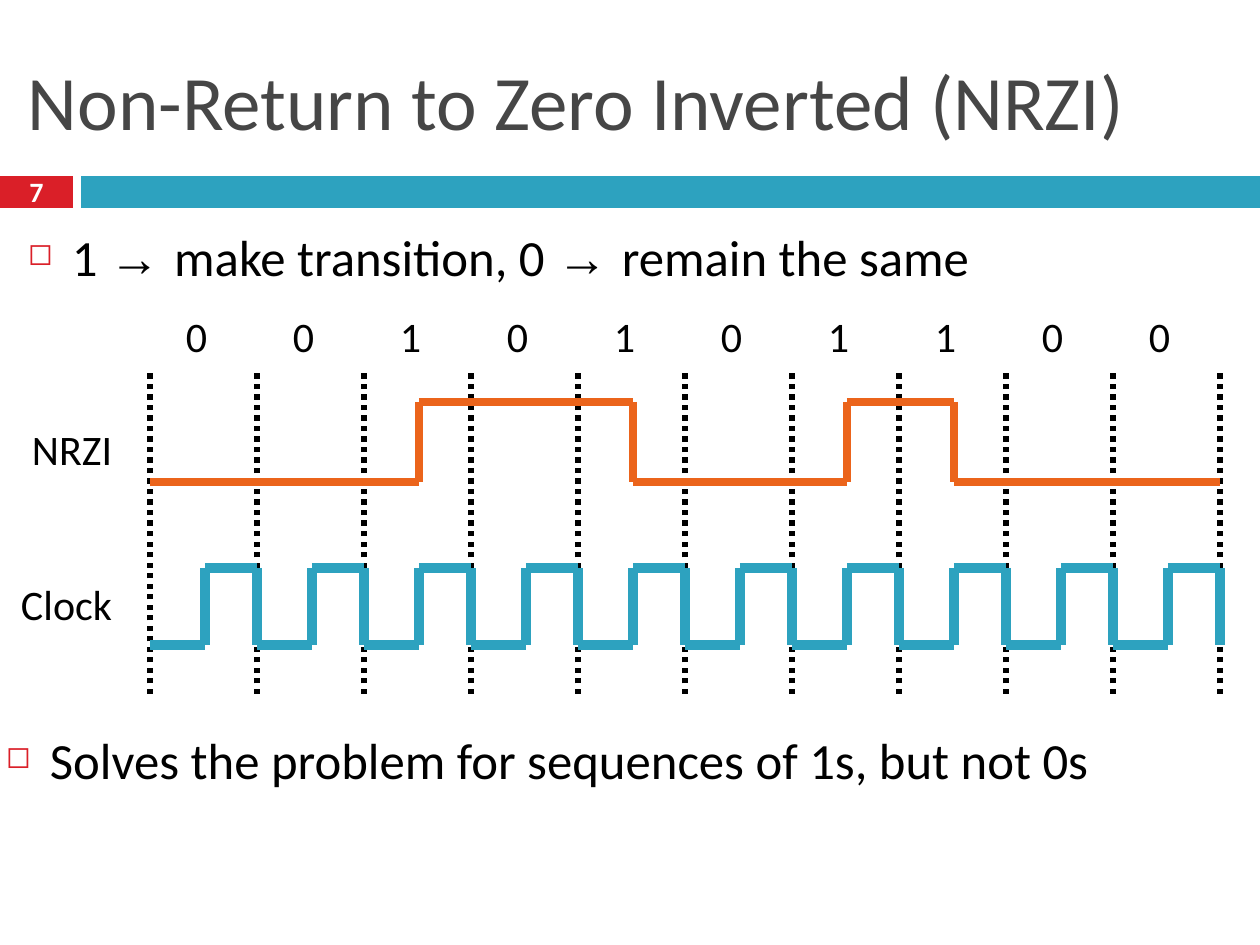
from itertools import pairwise

from lxml.etree import SubElement
from pptx import Presentation
from pptx.dml.color import RGBColor
from pptx.enum.dml import MSO_LINE
from pptx.enum.shapes import MSO_CONNECTOR, MSO_SHAPE
from pptx.enum.text import MSO_ANCHOR, MSO_AUTO_SIZE, PP_ALIGN
from pptx.oxml.ns import qn
from pptx.util import Pt

EMU_PER_PX = 914400 / 126
COLORS = {"text": "000000", "title": "464646", "white": "FFFFFF",
          "red": "DA1F28", "teal": "2DA2BF", "orange": "EB641B"}

BITS = "0010101100"
LEFT, BIT_WIDTH, HALF_BIT = 150, 107, 55
GRID_TOP, GRID_BOTTOM = 369, 694
NRZI_HIGH, NRZI_LOW = 402, 482
CLOCK_HIGH, CLOCK_LOW = 568, 645


def px(length):
    return round(length * EMU_PER_PX)


def color(name):
    return RGBColor.from_string(COLORS[name])


def write(paragraph, text, size=24, ink="text", bold=False, font="Calibri"):
    run = paragraph.add_run()
    run.text = text
    run.font.name = font
    run.font.size = Pt(size)
    run.font.bold = bold
    run.font.color.rgb = color(ink)


class SlideBuilder:
    def __init__(self, slide):
        self.shapes = slide.shapes

    def bar(self, x, y, width, height, fill):
        bar = self.shapes.add_shape(MSO_SHAPE.RECTANGLE, px(x), px(y), px(width), px(height))
        bar.shadow.inherit = False
        bar.fill.solid()
        bar.fill.fore_color.rgb = color(fill)
        bar.line.fill.background()

    def frame(self, x, y, width, height, wrap=True, anchor=MSO_ANCHOR.TOP):
        frame = self.shapes.add_textbox(px(x), px(y), px(width), px(height)).text_frame
        frame.word_wrap = wrap
        frame.vertical_anchor = anchor
        frame.margin_left = frame.margin_right = px(6)
        frame.margin_top = frame.margin_bottom = px(6)
        return frame

    def label(self, text, x, y, width, height=60):
        frame = self.frame(x, y, width, height, wrap=False)
        frame.auto_size = MSO_AUTO_SIZE.SHAPE_TO_FIT_TEXT
        write(frame.paragraphs[0], text)

    def bullet(self, parts, x, y, width, height=84):
        paragraph = self.frame(x, y, width, height).paragraphs[0]
        paragraph.space_before = Pt(7)
        properties = paragraph._p.get_or_add_pPr()
        properties.set("marL", str(px(44)))
        properties.set("indent", str(px(-44)))
        bullet_color = SubElement(properties, qn("a:buClr"))
        SubElement(bullet_color, qn("a:srgbClr"), val=COLORS["red"])
        SubElement(properties, qn("a:buSzPct"), val="60000")
        SubElement(properties, qn("a:buChar"), char="◻")
        for text in parts:
            write(paragraph, text, size=29, font="Arial" if "→" in text else "Calibri")

    def line(self, start, end, ink, weight, dash=None):
        line = self.shapes.add_connector(MSO_CONNECTOR.STRAIGHT, *map(px, (*start, *end)))
        line.line.color.rgb = color(ink)
        line.line.width = Pt(weight)
        if dash:
            line.line.dash_style = dash
        SubElement(line._element.spPr, qn("a:effectLst"))

    def waveform(self, points, ink, weight):
        for start, end in pairwise(points):
            self.line(start, end, ink, weight)


def nrzi_points():
    """Toggle the level in the middle of every 1 bit."""
    level, other = NRZI_LOW, NRZI_HIGH
    points = [(LEFT, level)]
    for index, bit in enumerate(BITS):
        if bit == "1":
            middle = LEFT + index * BIT_WIDTH + HALF_BIT
            points += [(middle, level), (middle, other)]
            level, other = other, level
    return points + [(LEFT + len(BITS) * BIT_WIDTH, level)]


def clock_points():
    """Rise in the middle of each bit and fall at its end."""
    points = [(LEFT, CLOCK_LOW)]
    for index in range(len(BITS)):
        start = LEFT + index * BIT_WIDTH
        middle, end = start + HALF_BIT, start + BIT_WIDTH
        points += [(middle, CLOCK_LOW), (middle, CLOCK_HIGH),
                   (end, CLOCK_HIGH), (end, CLOCK_LOW)]
    return points


def main():
    deck = Presentation()
    deck.slide_width, deck.slide_height = px(1260), px(945)
    page = SlideBuilder(deck.slides.add_slide(deck.slide_layouts[6]))

    # Header: bars, title and page number
    page.bar(0, 176, 73, 32, "red")
    page.bar(81, 176, 1179, 32, "teal")
    title = page.frame(22, 32, 1218, 136, anchor=MSO_ANCHOR.MIDDLE)
    write(title.paragraphs[0], "Non-Return to Zero Inverted (NRZI)", size=44, ink="title")
    number = page.frame(22, 172, 29, 44, wrap=False, anchor=MSO_ANCHOR.MIDDLE).paragraphs[0]
    number.alignment = PP_ALIGN.CENTER
    number.line_spacing = 0.8
    write(number, "7", size=16, ink="white", bold=True)

    # Encoding rule
    page.bullet(["1 ", "→ ", "make transition, 0 ", "→ ", "remain the same"], 22, 220, 1218)

    # Bit boundaries
    for index in range(len(BITS) + 1):
        x = LEFT + index * BIT_WIDTH
        page.line((x, GRID_BOTTOM), (x, GRID_TOP), "text", 3, MSO_LINE.ROUND_DOT)

    # Signals
    page.waveform(clock_points(), "teal", 6)
    page.label("Clock", 15, 573, 106)
    page.label("NRZI", 26, 418, 93)
    page.waveform(nrzi_points(), "orange", 4.5)

    # Bit values
    for index, bit in enumerate(BITS):
        page.label(bit, 180 + index * BIT_WIDTH, 305, 38)

    # Conclusion
    page.bullet(["Solves the problem for sequences of 1s, but not 0s"], 0, 723, 1260)

    deck.save("out.pptx")


if __name__ == "__main__":
    main()
